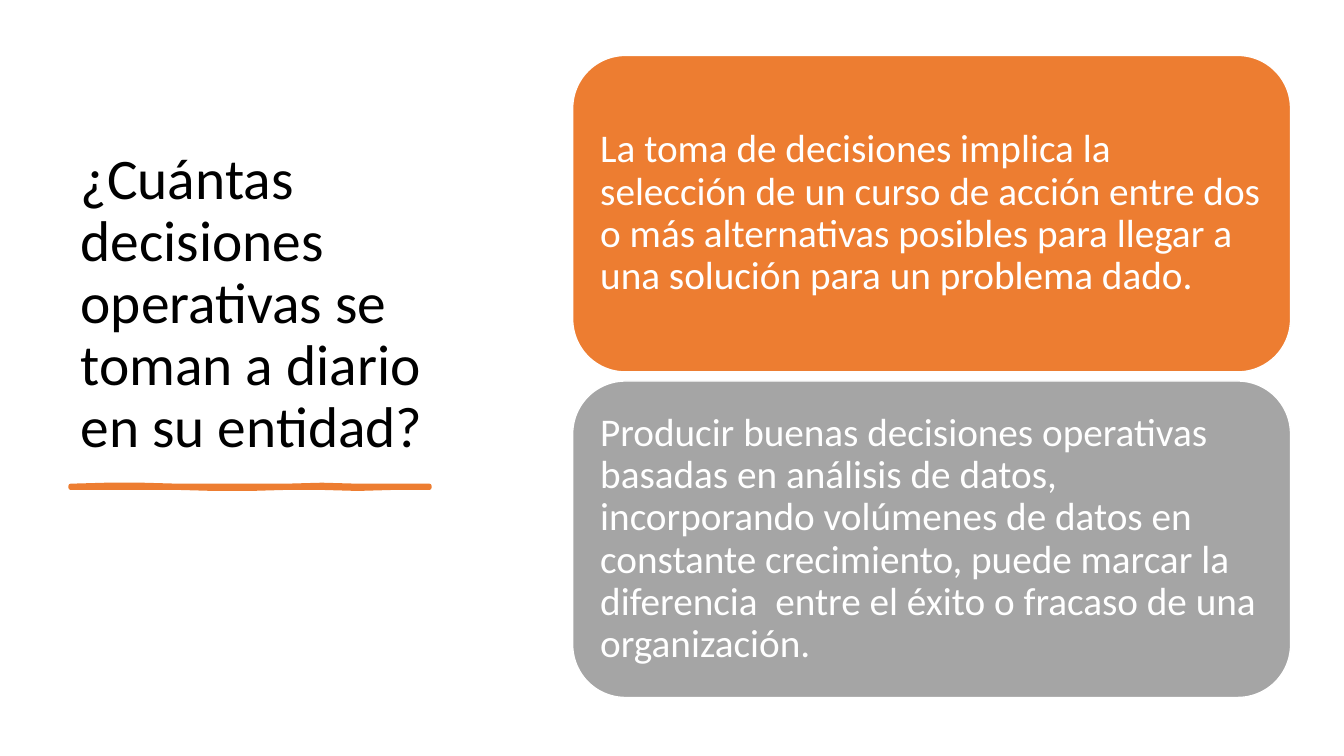
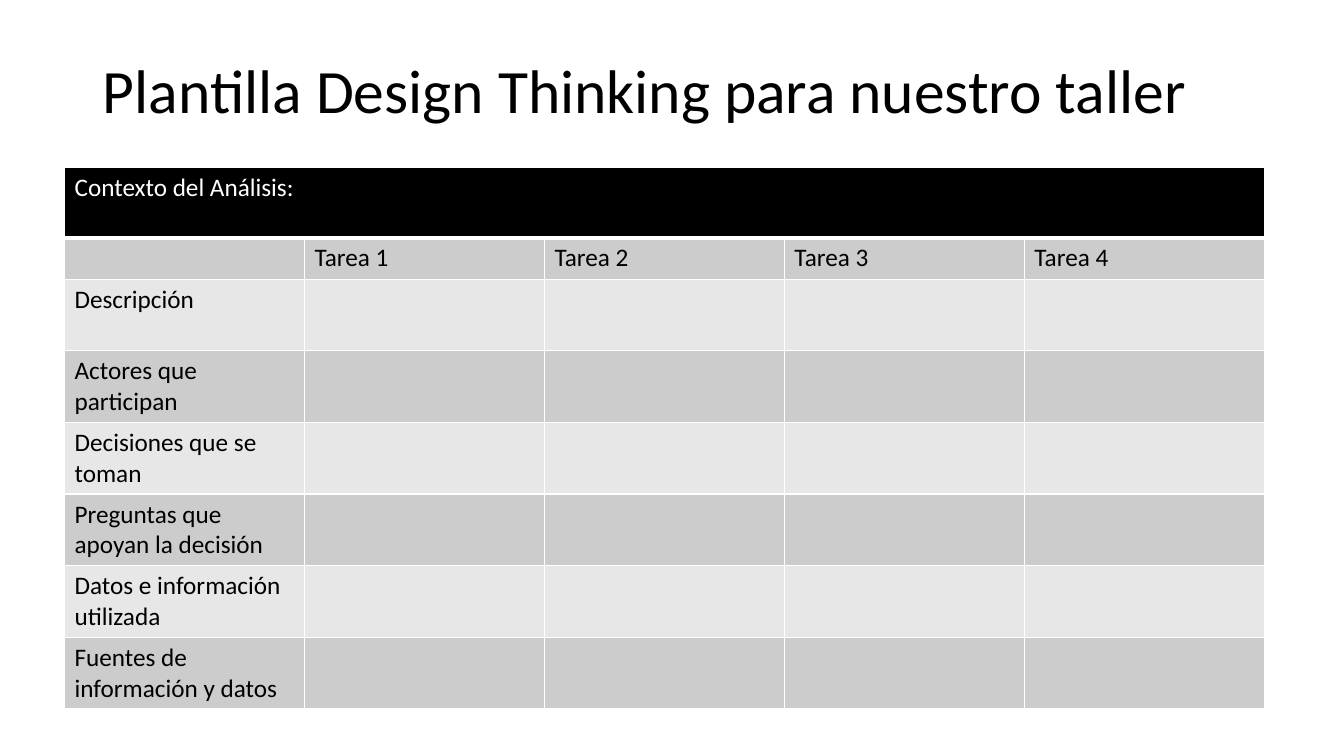
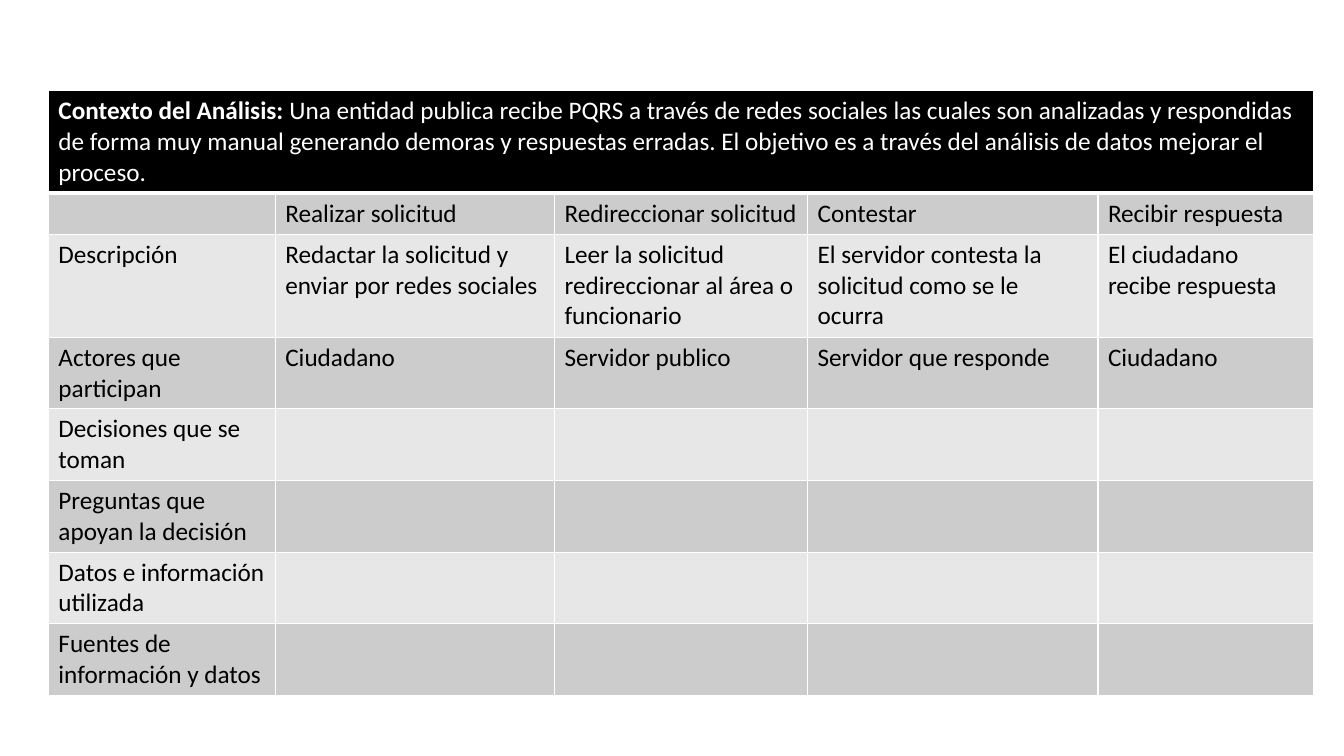
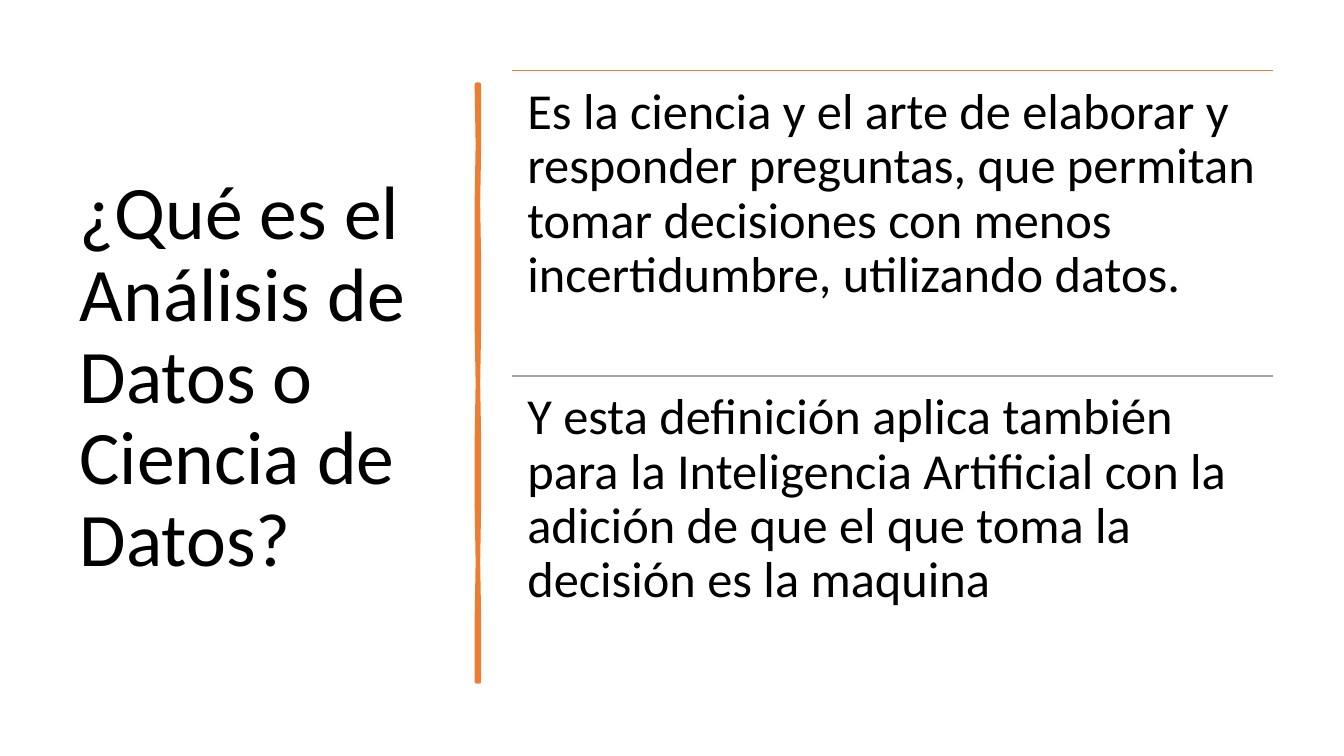
from pptx import Presentation
from pptx import util as u
from pptx.dml.color import RGBColor
from pptx.enum import shapes, text
from pptx.oxml import parse_xml
from pptx.oxml.ns import nsdecls

# Shared look: 100 px to the inch
PX = 9144
FONT = "Calibri"
BLACK, WHITE, ORANGE, GRAY = "000000", "FFFFFF", "ED7D31", "A5A5A5"
BANDS = ["CCCCCC", "E7E7E7"]
TITLE_ONLY, BLANK = 5, 6

# Content
DECISIONS = {
    "title": "¿Cuántas decisiones operativas se toman a diario en su entidad?",
    "cards": [
        (ORANGE, "La toma de decisiones implica la selección de un curso de acción entre dos o más "
                 "alternativas posibles para llegar a una solución para un problema dado."),
        (GRAY, "Producir buenas decisiones operativas basadas en análisis de datos, incorporando "
               "volúmenes de datos en constante crecimiento, puede marcar la diferencia  entre el "
               "éxito o fracaso de una organización."),
    ],
}
DEFINITION = {
    "title": "¿Qué es el Análisis de Datos o Ciencia de Datos?",
    "parts": [
        (ORANGE, "Es la ciencia y el arte de elaborar y responder preguntas, que permitan tomar "
                 "decisiones con menos incertidumbre, utilizando datos."),
        (GRAY, "Y esta definición aplica también para la Inteligencia Artificial con la adición de "
               "que el que toma la decisión es la maquina"),
    ],
}
ROW_LABELS = ["", "Descripción", "Actores que participan", "Decisiones que se toman",
              "Preguntas que apoyan la decisión", "Datos e información utilizada",
              "Fuentes de información y datos"]
TEMPLATE = {
    "title": "Plantilla Design Thinking para nuestro taller",
    "context": [("Contexto del Análisis:", False)],
    "rows": [["Tarea 1", "Tarea 2", "Tarea 3", "Tarea 4"]],
    "at": (64, 166), "widths": [238] * 5, "heights": [70, 41] + [71] * 6,
}
EXAMPLE = {
    "context": [
        ("Contexto del Análisis: ", True),
        ("Una entidad publica recibe PQRS a través de redes sociales las cuales son analizadas y "
         "respondidas de forma muy manual generando demoras y respuestas erradas. El objetivo es a "
         "través del análisis de datos mejorar el proceso.", False),
    ],
    "rows": [
        ["Realizar solicitud", "Redireccionar solicitud", "Contestar", "Recibir respuesta"],
        ["Redactar la solicitud y enviar por redes sociales",
         "Leer la solicitud redireccionar al área o funcionario",
         "El servidor contesta la solicitud como se le ocurra",
         "El ciudadano recibe respuesta"],
        ["Ciudadano", "Servidor publico", "Servidor que responde", "Ciudadano"],
    ],
    "at": (48, 90), "widths": [225, 277, 251, 288, 214],
    "heights": [101, 41, 102] + [71] * 5,
}
# Brush wobble in px at equal steps, one list for each edge
UNDERLINE_EDGES = [0, -1, -1, 0, 0, 0, 0, -1, 0, 0, 0], [0, 0, 0, 0, 1, 1, 0, 0, 1, 0, 0]
DIVIDER_EDGES = [0, 1, 0, 0, 0, 1, 0, 0, 1, 0, 0], [0, 0, -1, 0, 0, -1, 0, 0, -1, 0, 0]


def px(*lengths):
    return [u.Emu(round(length * PX)) for length in lengths]


def color(value):
    return RGBColor.from_string(value)


def add_span(para, words, size, ink, bold=False):
    span = para.add_run()
    span.text = words
    for name, value in {"name": FONT, "size": u.Pt(size), "bold": bold}.items():
        setattr(span.font, name, value)
    span.font.color.rgb = color(ink)


def write(frame, words, size, ink, anchor, insets):
    frame.word_wrap = True
    frame.auto_size = text.MSO_AUTO_SIZE.NONE
    frame.vertical_anchor = anchor
    for side, inset in zip(("left", "top", "right", "bottom"), px(*insets)):
        setattr(frame, "margin_" + side, inset)
    para = frame.paragraphs[0]
    para.alignment = text.PP_ALIGN.LEFT
    para.line_spacing = 0.9
    add_span(para, words, size, ink)


def set_title(page, words, at, size, anchor=text.MSO_ANCHOR.MIDDLE):
    title = page.shapes.title
    title.left, title.top, title.width, title.height = px(*at)
    write(title.text_frame, words, size, BLACK, anchor, (10, 5, 10, 5))


def add_brush(page, start, length, edges, width, vertical=False):
    """Draw a hand-made stroke: out along one edge and back along the other."""
    step = length / (len(edges[0]) - 1)
    near = [(i * step, shift) for i, shift in enumerate(edges[0])]
    far = [(i * step, 2 + shift) for i, shift in enumerate(edges[1])]
    points = near + far[::-1]
    if vertical:
        points = [(across, along) for along, across in points]
    points = [px(start[0] + x, start[1] + y) for x, y in points]
    builder = page.shapes.build_freeform(*points[0])
    builder.add_line_segments(points[1:], close=True)
    brush = builder.convert_to_shape()
    brush.shadow.inherit = False
    brush.fill.solid()
    brush.fill.fore_color.rgb = brush.line.color.rgb = color(ORANGE)
    brush.line.width = u.Pt(width)
    brush.line._get_or_add_ln().append(parse_xml(f"<a:round {nsdecls('a')}/>"))


def add_rule(page, left, top, width, ink):
    rule = page.shapes.add_connector(shapes.MSO_CONNECTOR.STRAIGHT,
                                     *px(left, top, left + width, top))
    rule.line.color.rgb = color(ink)
    rule.line.width = u.Pt(1)
    rule._element.spPr.append(parse_xml(f"<a:effectLst {nsdecls('a')}/>"))


def style_cell(cell, fill, bottom):
    for side, width in {"L": 1, "R": 1, "T": 1, "B": bottom}.items():
        cell._tc.get_or_add_tcPr().append(parse_xml(
            f'<a:ln{side} {nsdecls("a")} w="{u.Pt(width)}"><a:solidFill>'
            f'<a:srgbClr val="{WHITE}"/></a:solidFill></a:ln{side}>'))
    cell.fill.solid()
    cell.fill.fore_color.rgb = color(fill)


def add_task_table(page, data):
    widths, heights = data["widths"], data["heights"]
    table = page.shapes.add_table(len(heights), len(widths),
                                  *px(*data["at"], sum(widths), sum(heights))).table
    for column, width in zip(table.columns, px(*widths)):
        column.width = width
    for row, height in zip(table.rows, px(*heights)):
        row.height = height
    # Context header across all columns
    for cell in table.rows[0].cells:
        style_cell(cell, BLACK, 3)
    table.cell(0, 0).merge(table.cell(0, len(widths) - 1))
    for words, bold in data["context"]:
        add_span(table.cell(0, 0).text_frame.paragraphs[0], words, 18, WHITE, bold)
    # Banded body rows
    for i, label in enumerate(ROW_LABELS):
        answers = data["rows"][i] if i < len(data["rows"]) else [""] * (len(widths) - 1)
        for j, words in enumerate([label] + answers):
            cell = table.cell(i + 1, j)
            style_cell(cell, BANDS[i % 2], 1)
            if words:
                add_span(cell.text_frame.paragraphs[0], words, 18, BLACK)


def build_decisions(page):
    set_title(page, DECISIONS["title"], (70, 70, 391, 391), 41, text.MSO_ANCHOR.BOTTOM)
    add_brush(page, (70, 482), 356, UNDERLINE_EDGES, 3)
    for i, (fill, words) in enumerate(DECISIONS["cards"]):
        card = page.shapes.add_shape(shapes.MSO_SHAPE.ROUNDED_RECTANGLE,
                                     *px(568, 55 + i * 323, 712, 314))
        card.shadow.inherit = False
        card.fill.solid()
        card.fill.fore_color.rgb = color(fill)
        card.line.color.rgb = color(WHITE)
        card.line.width = u.Pt(1)
        write(card.text_frame, words, 28, WHITE, text.MSO_ANCHOR.MIDDLE, [12] * 4)


def build_template(page):
    set_title(page, TEMPLATE["title"], (92, 40, 1150, 105), 44)
    add_task_table(page, TEMPLATE)


def build_example(page):
    add_task_table(page, EXAMPLE)


def build_definition(page):
    set_title(page, DEFINITION["title"], (69, 70, 374, 611), 54)
    add_brush(page, (473, 84), 592, DIVIDER_EDGES, 3.25, vertical=True)
    left, width, height = 508, 755, 303
    for i, (ink, words) in enumerate(DEFINITION["parts"]):
        top = 70 + i * height
        add_rule(page, left, top, width, ink)
        box = page.shapes.add_textbox(*px(left, top, width, height))
        write(box.text_frame, words, 36, BLACK, text.MSO_ANCHOR.TOP, [15] * 4)


def main():
    deck = Presentation()
    deck.slide_width, deck.slide_height = u.Inches(13.33), u.Inches(7.5)
    for layout, build in [(TITLE_ONLY, build_decisions), (TITLE_ONLY, build_template),
                          (BLANK, build_example), (TITLE_ONLY, build_definition)]:
        build(deck.slides.add_slide(deck.slide_layouts[layout]))
    deck.save("out.pptx")


if __name__ == "__main__":
    main()
